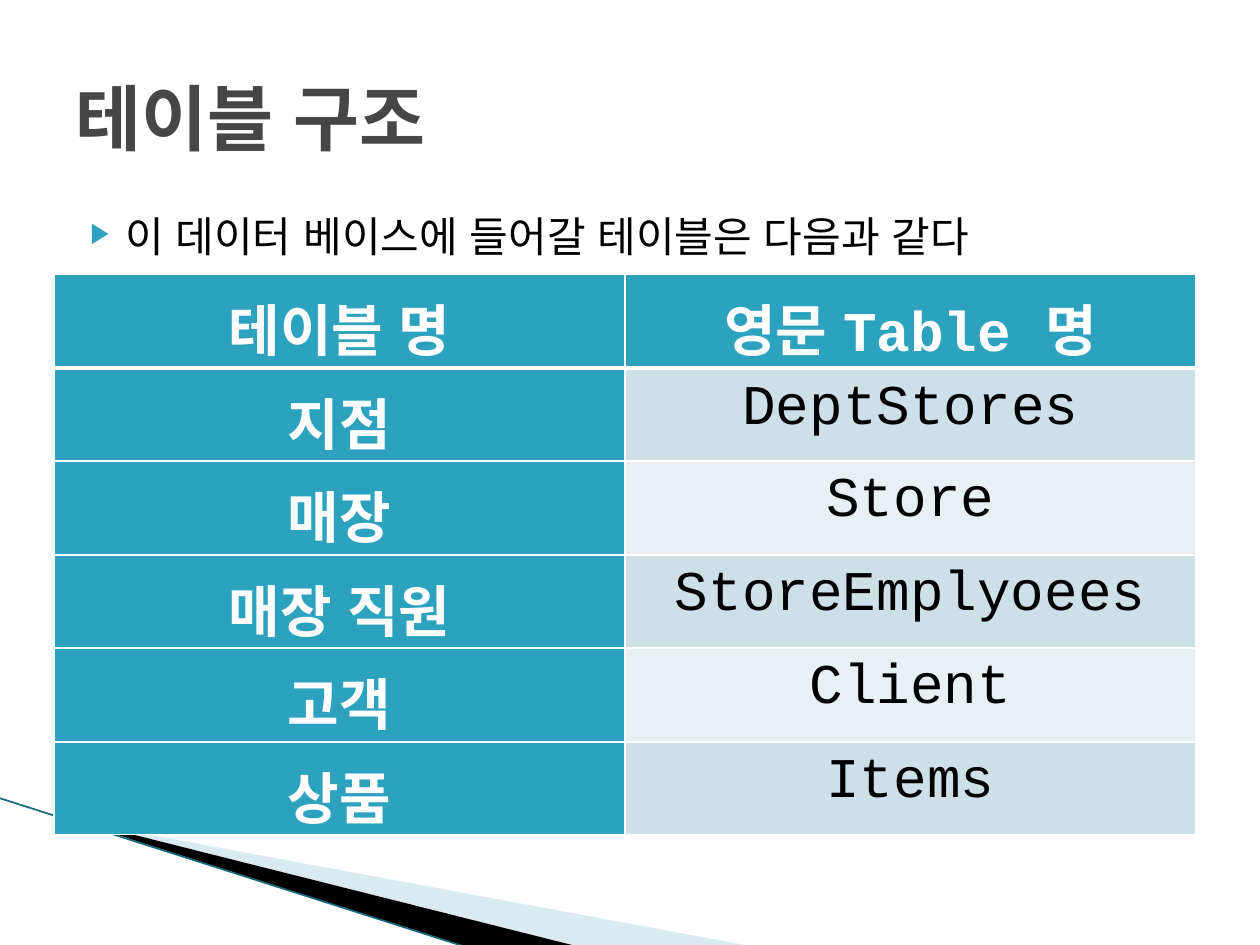
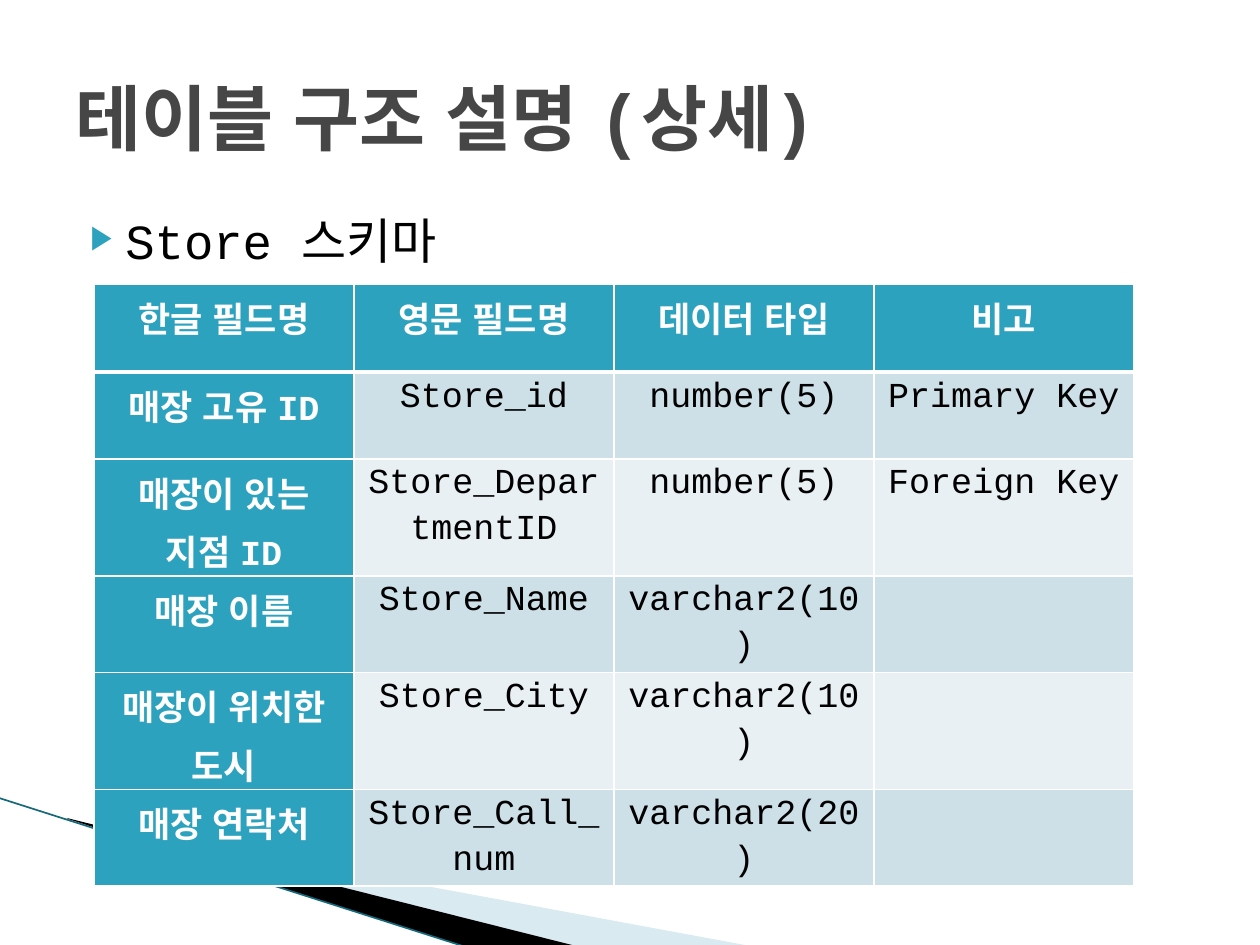
import pptx
import pptx.dml.color
import pptx.enum.lang
import pptx.enum.shapes
import pptx.enum.text
import pptx.oxml
import pptx.oxml.ns
import pptx.util
from lxml import etree

PX = 914400 / 126
FONT = "Courier New"
TEAL, PALE, PALER = "2DA2BF", "CDE0E8", "E8F0F4"
WHITE, BLACK, GREY = "FFFFFF", "000000", "464646"
WEDGE, EDGE = "A0CBDC", "16697A"

PALE_WEDGE = [(69, 820), (750, 946), (575, 946), (69, 819)]
DARK_WEDGE = [(67, 818), (576, 946), (469, 948), (68, 819)]
EDGE_LINE = (-1, 798, 469, 948)
TITLE_BOX = (63, 38, 1134, 157)
BODY_BOX = (63, 204, 1134, 624)

SLIDES = [
    {
        "title": "테이블 구조",
        "bullet": "이 데이터 베이스에 들어갈 테이블은 다음과 같다",
        "bullet_size": 24,
        "at": (54, 274), "column": 571, "size": 32,
        "heights": (94, 93, 94, 93, 94, 93),
        "rows": [
            ("테이블 명", "영문 Table 명"),
            ("지점", "DeptStores"),
            ("매장", "Store"),
            ("매장 직원", "StoreEmplyoees"),
            ("고객", "Client"),
            ("상품", "Items"),
        ],
    },
    {
        "title": "테이블 구조 설명 (상세)",
        "bullet": "Store 스키마",
        "bullet_size": 28,
        "at": (94, 284), "column": 260, "size": 20,
        "heights": (88, 87, 117, 91, 117, 91),
        "rows": [
            ("한글 필드명", "영문 필드명", "데이터 타입", "비고"),
            ("매장 고유 ID", "Store_id", "number(5)", "Primary Key"),
            ("매장이 있는 지점 ID", "Store_DepartmentID", "number(5)", "Foreign Key"),
            ("매장 이름", "Store_Name", "varchar2(10)", ""),
            ("매장이 위치한 도시", "Store_City", "varchar2(10)", ""),
            ("매장 연락처", "Store_Call_num", "varchar2(20)", ""),
        ],
    },
]


def px(*lengths):
    return [pptx.util.Emu(round(length * PX)) for length in lengths]


def rgb(color):
    return pptx.dml.color.RGBColor.from_string(color)


def add_child(parent, tag, **attributes):
    return etree.SubElement(parent, pptx.oxml.ns.qn(tag), attributes)


def add_run(paragraph, text, size, color, bold=False):
    run = paragraph.add_run()
    run.text = text
    run.font.name = FONT
    run.font.size = pptx.util.Pt(size)
    run.font.bold = bold
    run.font.color.rgb = rgb(color)
    run.font.language_id = pptx.enum.lang.MSO_LANGUAGE_ID.KOREAN


def add_wedge(slide, corners, color, opacity=100):
    builder = slide.shapes.build_freeform(*corners[0], scale=PX)
    builder.add_line_segments(corners[1:], close=True)
    wedge = builder.convert_to_shape()
    wedge.shadow.inherit = False
    wedge.line.fill.background()
    wedge.fill.solid()
    wedge.fill.fore_color.rgb = rgb(color)
    if opacity < 100:
        fill_color = wedge.fill._xPr.find(".//" + pptx.oxml.ns.qn("a:srgbClr"))
        add_child(fill_color, "a:alpha", val=str(opacity * 1000))


def add_corner_decoration(slide):
    add_wedge(slide, PALE_WEDGE, WEDGE, opacity=40)
    add_wedge(slide, DARK_WEDGE, BLACK)
    edge = slide.shapes.add_connector(
        pptx.enum.shapes.MSO_CONNECTOR.STRAIGHT, *px(*EDGE_LINE))
    edge.line.color.rgb = rgb(EDGE)
    edge.line.width = pptx.util.Pt(0.95)
    add_child(edge._element.spPr, "a:effectLst")


def add_text_frame(slide, box):
    frame = slide.shapes.add_textbox(*px(*box)).text_frame
    frame.word_wrap = True
    return frame


def add_title(slide, text):
    frame = add_text_frame(slide, TITLE_BOX)
    frame.vertical_anchor = pptx.enum.text.MSO_ANCHOR.MIDDLE
    add_run(frame.paragraphs[0], text, 41, GREY, bold=True)


def add_bullet(slide, text, size):
    paragraph = add_text_frame(slide, BODY_BOX).paragraphs[0]
    paragraph.space_before = pptx.util.Pt(4)
    properties = paragraph._p.get_or_add_pPr()
    indent, hanging = px(50, -35)
    properties.set("marL", str(indent))
    properties.set("indent", str(hanging))
    add_child(add_child(properties, "a:buClr"), "a:srgbClr", val=TEAL)
    add_child(properties, "a:buSzPct", val="68000")
    add_child(properties, "a:buFont", typeface=FONT)
    add_child(properties, "a:buChar", char="▶")
    add_run(paragraph, text, size, BLACK)


def set_borders(cell, **widths):
    """Draw white borders; the fill must be set afterwards."""
    properties = cell._tc.get_or_add_tcPr()
    for side in ("L", "R", "T", "B"):
        width = pptx.util.Pt(widths.get(side, 1))
        border = add_child(properties, "a:ln" + side, w=str(width))
        add_child(add_child(border, "a:solidFill"), "a:srgbClr", val=WHITE)


def fill_cell(cell, text, row, column, size):
    heading = row == 0 or column == 0
    cell.margin_left, cell.margin_right, cell.margin_top, cell.margin_bottom = px(9, 9, 0, 0)
    set_borders(cell, T=3 if row == 1 else 1, B=3 if row == 0 else 1)
    cell.fill.solid()
    cell.fill.fore_color.rgb = rgb(TEAL if heading else PALE if row % 2 else PALER)
    if text:
        paragraph = cell.text_frame.paragraphs[0]
        paragraph.alignment = pptx.enum.text.PP_ALIGN.CENTER
        paragraph.line_spacing = 1.15
        add_run(paragraph, text, size, WHITE if heading else BLACK, bold=heading)


def add_schema_table(slide, content):
    rows, heights = content["rows"], content["heights"]
    column_count = len(rows[0])
    box = px(*content["at"], content["column"] * column_count, sum(heights))
    table = slide.shapes.add_table(len(rows), column_count, *box).table
    table.first_row = table.horz_banding = False
    for table_row, height in zip(table.rows, px(*heights)):
        table_row.height = height
    for r, texts in enumerate(rows):
        for c, text in enumerate(texts):
            fill_cell(table.cell(r, c), text, r, c, content["size"])


def main():
    deck = pptx.Presentation()
    deck.slide_width, deck.slide_height = px(1260, 945)
    for content in SLIDES:
        slide = deck.slides.add_slide(deck.slide_layouts[6])
        add_corner_decoration(slide)
        add_bullet(slide, content["bullet"], content["bullet_size"])
        add_title(slide, content["title"])
        add_schema_table(slide, content)
    deck.save("out.pptx")


if __name__ == "__main__":
    main()
